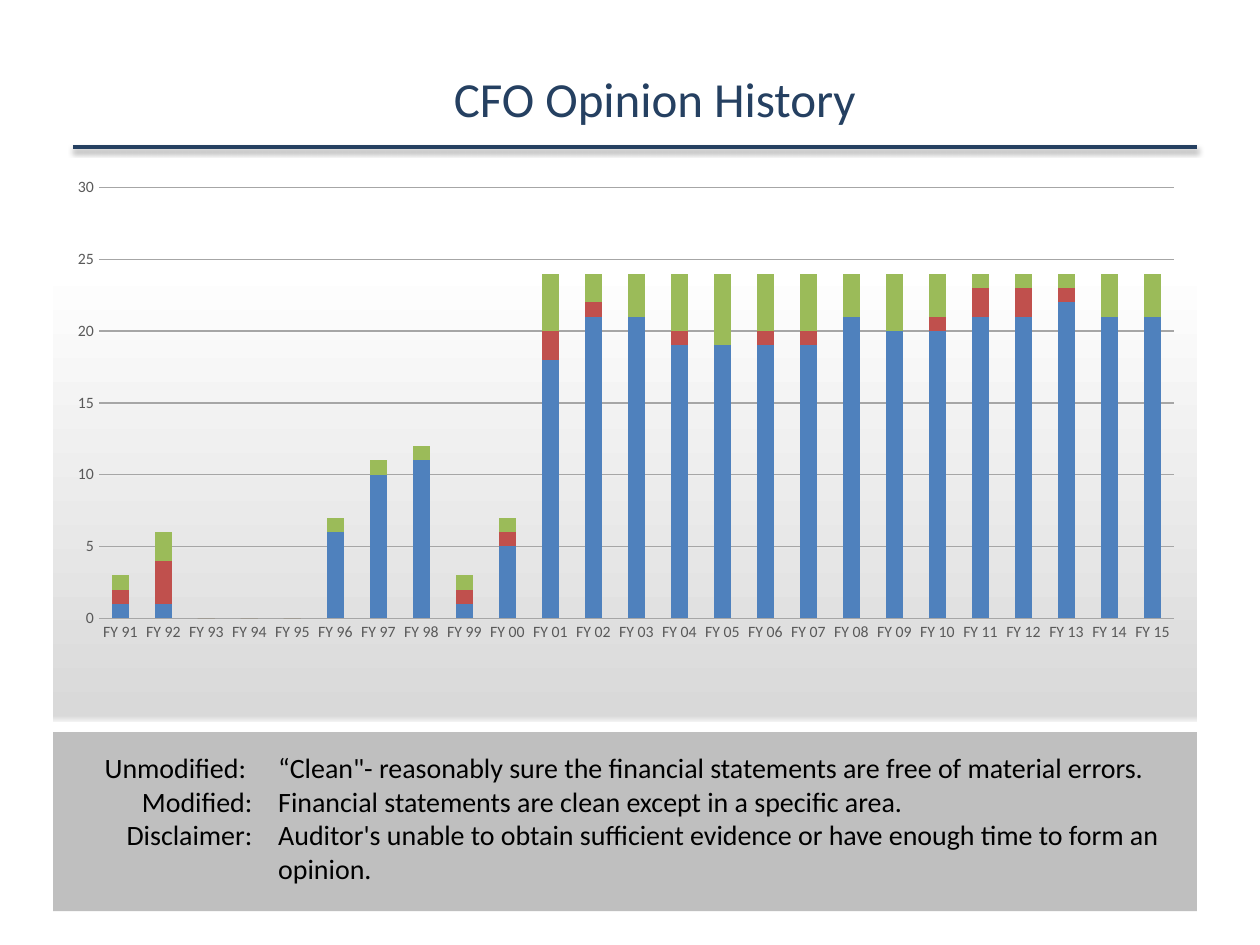
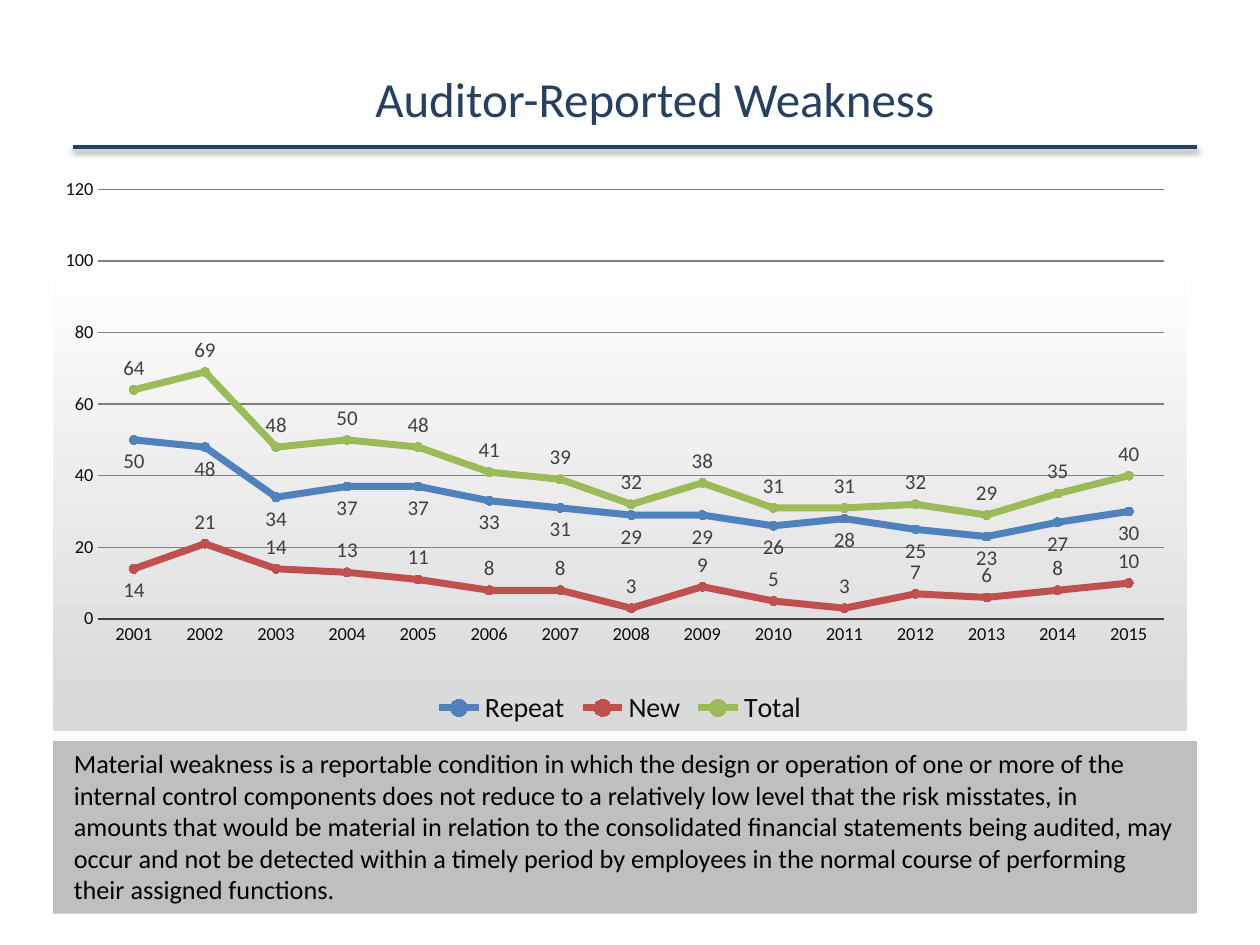
from dataclasses import dataclass
from typing import Any

from lxml.etree import SubElement
from pptx import Presentation
from pptx.chart.data import CategoryChartData
from pptx.dml.color import RGBColor
from pptx.enum.chart import (XL_CHART_TYPE, XL_LABEL_POSITION, XL_LEGEND_POSITION,
                             XL_MARKER_STYLE, XL_TICK_MARK)
from pptx.enum.shapes import MSO_CONNECTOR, MSO_SHAPE
from pptx.enum.text import MSO_ANCHOR, PP_ALIGN
from pptx.oxml import parse_xml
from pptx.oxml.ns import nsdecls, qn
from pptx.util import Cm, Pt

FONT = "Calibri"
NAVY, BLACK, BAND_GREY = "254061", "000000", "BFBFBF"
BLUE, RED, GREEN = "4F81BD", "C0504D", "9BBB59"
LEFT, RIGHT, RULE_Y = 1.07, 24.13, 2.97


@dataclass
class Box:
    left: float
    top: float
    width: float
    height: float

    def cm(self) -> list[Cm]:
        return [Cm(v) for v in (self.left, self.top, self.width, self.height)]


@dataclass
class TextBlock:
    box: Box
    paragraphs: list[str]
    size: float
    color: str = BLACK
    align: PP_ALIGN = PP_ALIGN.LEFT
    anchor: MSO_ANCHOR = MSO_ANCHOR.TOP


@dataclass
class Series:
    name: str
    values: list[int]
    color: str


@dataclass
class ChartSpec:
    kind: XL_CHART_TYPE
    box: Box
    categories: list[str]
    series: list[Series]
    plot: tuple[float, float, float, float]
    stops: list[tuple[int, str]]
    maximum: int
    step: int
    axis_size: float
    axis_color: str
    grid_color: str


def rgb(color: str) -> RGBColor:
    return RGBColor.from_string(color)


def apply(obj: Any, formats: dict[str, Any]) -> None:
    for name, value in formats.items():
        setattr(obj, name, value)


def set_font(font: Any, size: float, color: str) -> None:
    apply(font, {"name": FONT, "size": Pt(size), "bold": False})
    font.color.rgb = rgb(color)


def set_line(line: Any, color: str, width: float) -> None:
    line.color.rgb = rgb(color)
    line.width = Pt(width)


def add_text(slide: Any, block: TextBlock) -> None:
    """Write one paragraph per string; a newline inside a string is a line break."""
    tf = slide.shapes.add_textbox(*block.box.cm()).text_frame
    apply(tf, {"word_wrap": True, "vertical_anchor": block.anchor})
    for i, text in enumerate(block.paragraphs):
        p = tf.paragraphs[0] if i == 0 else tf.add_paragraph()
        apply(p, {"text": text, "alignment": block.align})
        for r in p.runs:
            set_font(r.font, block.size, block.color)


def add_header(slide: Any, title: str) -> None:
    """Draw the title and the shadowed rule below it."""
    add_text(slide, TextBlock(Box(2.29, 0.76, 21.82, 2.41), [title], 28, NAVY,
                              PP_ALIGN.CENTER, MSO_ANCHOR.MIDDLE))
    rule = slide.shapes.add_connector(MSO_CONNECTOR.STRAIGHT, Cm(1.47), Cm(RULE_Y),
                                      Cm(RIGHT), Cm(RULE_Y))
    set_line(rule.line, NAVY, 2.25)
    effects = SubElement(rule.line._get_or_add_ln().getparent(), qn("a:effectLst"))
    shadow = SubElement(effects, qn("a:outerShdw"), blurRad=str(Pt(3.1)),
                        dist=str(Pt(1.8)), dir="5400000", rotWithShape="0")
    color = SubElement(shadow, qn("a:srgbClr"), val=BLACK)
    SubElement(color, qn("a:alpha"), val="35000")


def add_band(slide: Any, top: float, height: float) -> None:
    sp = slide.shapes.add_shape(MSO_SHAPE.RECTANGLE,
                                *Box(LEFT, top, RIGHT - LEFT, height).cm())
    sp.shadow.inherit = False
    sp.fill.solid()
    sp.fill.fore_color.rgb = rgb(BAND_GREY)
    sp.line.fill.background()


def set_chart_area(chart: Any, spec: ChartSpec) -> None:
    """Give the chart its vertical gradient and fixed inner plot area."""
    stops = "".join(f'<a:gs pos="{pos * 1000}"><a:srgbClr val="{color}"/></a:gs>'
                    for pos, color in spec.stops)
    chart_el = chart.element.find(qn("c:chart"))
    chart_el.addnext(parse_xml(
        f'<c:spPr {nsdecls("c", "a")}><a:gradFill><a:gsLst>{stops}</a:gsLst>'
        '<a:lin ang="5400000" scaled="0"/></a:gradFill><a:ln><a:noFill/></a:ln></c:spPr>'))
    plot_area = chart_el.find(qn("c:plotArea"))
    for old in plot_area.findall(qn("c:layout")):
        plot_area.remove(old)
    sizes = "".join(f'<c:{tag} val="{value}"/>' for tag, value in zip("xywh", spec.plot))
    plot_area.insert(0, parse_xml(
        f'<c:layout {nsdecls("c")}><c:manualLayout><c:layoutTarget val="inner"/>'
        f'<c:xMode val="edge"/><c:yMode val="edge"/>{sizes}</c:manualLayout></c:layout>'))


def add_chart(slide: Any, spec: ChartSpec) -> Any:
    data = CategoryChartData()
    data.categories = spec.categories
    for s in spec.series:
        data.add_series(s.name, s.values)
    chart = slide.shapes.add_chart(spec.kind, *spec.box.cm(), data).chart
    apply(chart, {"has_title": False, "has_legend": False})
    set_font(chart.font, 10, BLACK)
    set_chart_area(chart, spec)
    for axis in (chart.category_axis, chart.value_axis):
        apply(axis, {"major_tick_mark": XL_TICK_MARK.NONE,
                     "minor_tick_mark": XL_TICK_MARK.NONE})
        set_font(axis.tick_labels.font, spec.axis_size, spec.axis_color)
        axis.format.line.fill.background()
    apply(chart.value_axis, {"minimum_scale": 0, "maximum_scale": spec.maximum,
                             "major_unit": spec.step, "has_major_gridlines": True})
    set_line(chart.value_axis.major_gridlines.format.line, spec.grid_color, 0.75)
    chart.plots[0].vary_by_categories = False
    return chart


def build_opinion_slide(slide: Any) -> None:
    years = [f"FY {year % 100:02d}" for year in range(1991, 2016)]
    spec = ChartSpec(
        XL_CHART_TYPE.COLUMN_STACKED, Box(LEFT, RULE_Y, RIGHT - LEFT, 11.58), years,
        [Series("Unmodified", [1, 1, 0, 0, 0, 6, 10, 11, 1, 5, 18, 21, 21, 19, 19, 19, 19,
                               21, 20, 20, 21, 21, 22, 21, 21], BLUE),
         Series("Modified", [1, 3, 0, 0, 0, 0, 0, 0, 1, 1, 2, 1, 0, 1, 0, 1, 1,
                             0, 0, 1, 2, 2, 1, 0, 0], RED),
         Series("Disclaimer", [1, 2, 0, 0, 0, 1, 1, 1, 1, 1, 4, 2, 3, 4, 5, 4, 4,
                               3, 4, 3, 1, 1, 1, 3, 3], GREEN)],
        (0.04, 0.07, 0.94, 0.75), [(20, "FFFFFF"), (99, "D9D9D9"), (100, "F2F2F2")],
        30, 5, 9, "595959", "A6A6A6")
    chart = add_chart(slide, spec)
    apply(chart.plots[0], {"gap_width": 150, "overlap": 100})
    for bars, s in zip(chart.plots[0].series, spec.series):
        bars.format.fill.solid()
        bars.format.fill.fore_color.rgb = rgb(s.color)
    add_header(slide, "CFO Opinion History")
    add_band(slide, 14.76, 3.61)
    add_text(slide, TextBlock(Box(LEFT, 15.01, 4.27, 2.39),
                              ["Unmodified: ", "Modified:", "Disclaimer:"], 16,
                              align=PP_ALIGN.RIGHT))
    add_text(slide, TextBlock(Box(5.36, 15.01, 18.29, 3.68), [
        "“Clean\"- reasonably sure the financial statements are free of material errors.\n"
        "Financial statements are clean except in a specific area.\n"
        "Auditor's unable to obtain sufficient evidence or have enough time to form an "
        "opinion."], 16))


def label_values(labels: Any, position: XL_LABEL_POSITION) -> None:
    set_font(labels.font, 12, "404040")
    labels.position = position


def build_weakness_slide(slide: Any) -> None:
    add_header(slide, "Auditor-Reported Weakness")
    add_band(slide, 14.94, 3.48)
    add_text(slide, TextBlock(Box(1.24, 14.94, 22.68, 3.45), [
        "Material weakness is a reportable condition in which the design or operation of "
        "one or more of the internal control components does not reduce to a relatively "
        "low level that the risk misstates, in amounts that would be material in relation "
        "to the consolidated financial statements being audited, may occur and not be "
        "detected within a timely period by employees in the normal course of performing "
        "their assigned functions."], 15))
    repeat = [50, 48, 34, 37, 37, 33, 31, 29, 29, 26, 28, 25, 23, 27, 30]
    new = [14, 21, 14, 13, 11, 8, 8, 3, 9, 5, 3, 7, 6, 8, 10]
    total = [a + b for a, b in zip(repeat, new)]
    spec = ChartSpec(
        XL_CHART_TYPE.LINE_MARKERS, Box(LEFT, 3.48, 22.86, 11.25),
        [str(year) for year in range(2001, 2016)],
        [Series("Repeat", repeat, BLUE), Series("New", new, RED),
         Series("Total", total, GREEN)],
        (0.04, 0.03, 0.94, 0.77), [(14, "FFFFFF"), (100, "D9D9D9")],
        120, 20, 10.5, "0D0D0D", "808080")
    chart = add_chart(slide, spec)
    set_line(chart.category_axis.format.line, "404040", 0.75)
    chart.has_legend = True
    apply(chart.legend, {"position": XL_LEGEND_POSITION.BOTTOM, "include_in_layout": False})
    set_font(chart.legend.font, 16, "0D0D0D")
    above, below = XL_LABEL_POSITION.ABOVE, XL_LABEL_POSITION.BELOW
    for line, s in zip(chart.plots[0].series, spec.series):
        line.smooth = False
        set_line(line.format.line, s.color, 4)
        apply(line.marker, {"style": XL_MARKER_STYLE.CIRCLE, "size": 5})
        line.marker.format.fill.solid()
        line.marker.format.fill.fore_color.rgb = rgb(s.color)
        line.marker.format.line.color.rgb = rgb(s.color)
        line.data_labels.show_value = True
        label_values(line.data_labels, below if s.name == "Repeat" else above)
        if s.name == "New":
            label_values(line.points[0].data_label, below)


def main() -> None:
    prs = Presentation()
    apply(prs, {"slide_width": Cm(25.4), "slide_height": Cm(19.05)})
    for build in (build_opinion_slide, build_weakness_slide):
        build(prs.slides.add_slide(prs.slide_layouts[6]))
    prs.save("out.pptx")


if __name__ == "__main__":
    main()
